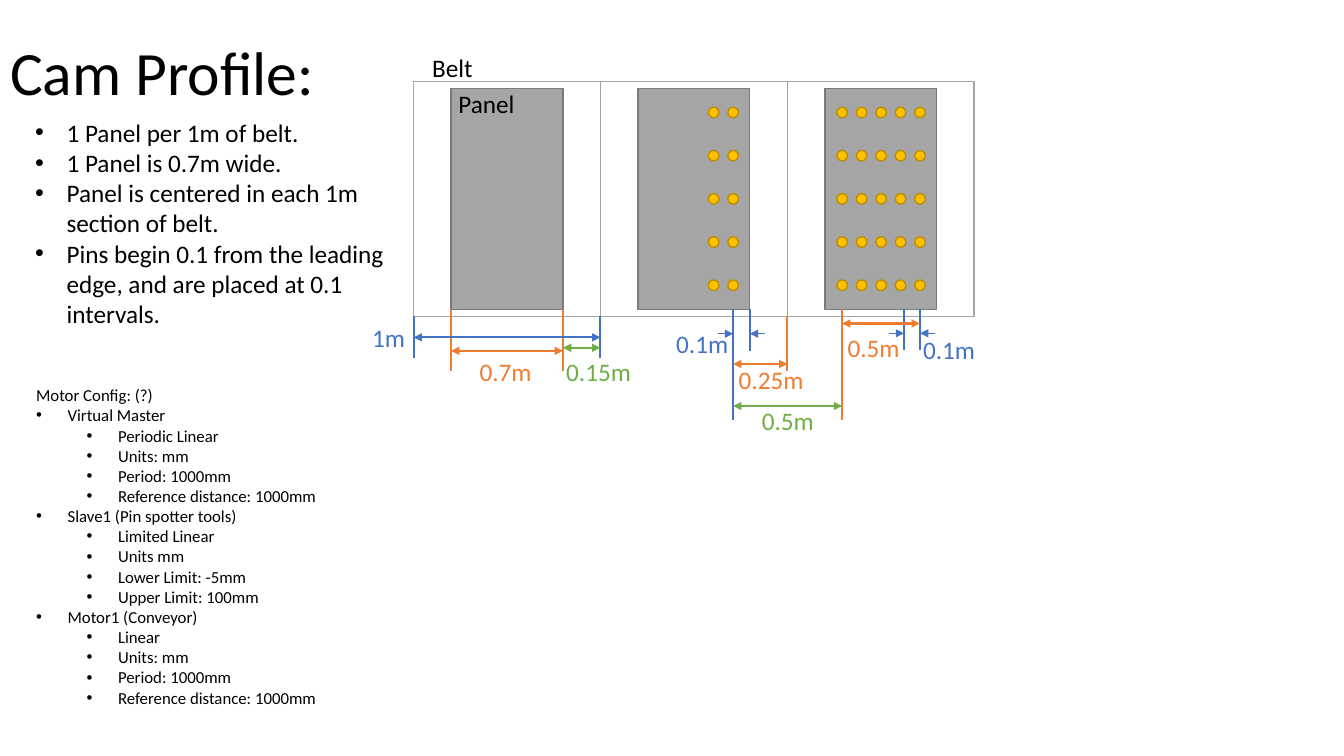
from lxml import etree
from pptx import Presentation
from pptx.dml.color import RGBColor
from pptx.enum.shapes import MSO_CONNECTOR as CONN, MSO_SHAPE as SHAPE
from pptx.enum.text import MSO_ANCHOR as ANCHOR, MSO_AUTO_SIZE as FIT, PP_ALIGN as ALIGN
from pptx.oxml.ns import qn
from pptx.util import Pt

BLACK, BLUE, ORANGE, GREEN = "000000", "4472C4", "ED7D31", "70AD47"
BELT_X, BELT_Y, BELT_W, BELT_H = 295.4, 58.4, 133.5, 167.6
PANEL_DX, PANEL_Y, PANEL_W, PANEL_H = 26.8, 63.4, 79.9, 157.6
PIN_DX, PIN_Y, PIN_D, PIN_GAP_X, PIN_GAP_Y = 8.6, 76.6, 7.5, 13.9, 30.85
PIN_COLUMNS = [range(0), range(3, 5), range(5)]
BELT_END, PANEL_END = BELT_Y + BELT_H, PANEL_Y + PANEL_H

RULES = ["1 Panel per 1m of belt.", "1 Panel is 0.7m wide.",
         "Panel is centered in each 1m section of belt.",
         "Pins begin 0.1 from the leading edge, and are placed at 0.1 intervals."]
MOTORS = {
    "Virtual Master": ["Periodic Linear", "Units: mm", "Period: 1000mm",
                       "Reference distance: 1000mm"],
    "Slave1 (Pin spotter tools)": ["Limited Linear", "Units mm", "Lower Limit: -5mm",
                                   "Upper Limit: 100mm"],
    "Motor1 (Conveyor)": ["Linear", "Units: mm", "Period: 1000mm",
                          "Reference distance: 1000mm"],
}


def rgb(value):
    return RGBColor.from_string(value)


def apply(obj, fmt):
    for name, value in fmt.items():
        setattr(obj, name, value)


def write(p, text, size, color=BLACK):
    r = p.add_run()
    r.text = text
    apply(r.font, {"size": Pt(size), "name": "Calibri"})
    r.font.color.rgb = rgb(color)


def add_bullet(p, level):
    p.level = level
    pPr = p._p.get_or_add_pPr()
    pPr.set("marL", str(Pt(22.5 + 36 * level)))
    pPr.set("indent", str(Pt(-22.5)))
    etree.SubElement(pPr, qn("a:buFont")).set("typeface", "Arial")
    etree.SubElement(pPr, qn("a:buChar")).set("char", "•")


def add_text(s, x, y, w, h, lines, size=18, color=BLACK, wrap=False):
    tf = s.shapes.add_textbox(Pt(x), Pt(y), Pt(w), Pt(h)).text_frame
    apply(tf, {"word_wrap": wrap, "auto_size": FIT.SHAPE_TO_FIT_TEXT})
    for i, (text, level) in enumerate(lines):
        p = tf.add_paragraph() if i else tf.paragraphs[0]
        if level is not None:
            add_bullet(p, level)
        write(p, text, size, color)


def add_label(s, x, y, w, text, color=BLACK):
    add_text(s, x, y, w, 29, [(text, None)], color=color)


def add_shape(s, kind, x, y, w, h, fill, line):
    sp = s.shapes.add_shape(kind, Pt(x), Pt(y), Pt(w), Pt(h))
    sp.shadow.inherit = False
    sp.fill.solid()
    sp.fill.fore_color.rgb = rgb(fill)
    sp.line.color.rgb = rgb(line)
    sp.line.width = Pt(1)


def add_line(s, x1, y1, x2, y2, color, width=1.5, ends=()):
    cxn = s.shapes.add_connector(CONN.STRAIGHT, Pt(x1), Pt(y1), Pt(x2), Pt(y2))
    cxn.line.color.rgb = rgb(color)
    cxn.line.width = Pt(width)
    for end in ends:
        etree.SubElement(cxn.line._get_or_add_ln(), qn(f"a:{end}")).set("type", "triangle")
    etree.SubElement(cxn._element.spPr, qn("a:effectLst"))


def add_span(s, x1, x2, y, color):
    add_line(s, x1, y, x2, y, color, ends=("headEnd", "tailEnd"))


def add_gap(s, x1, x2, y, color):
    for start, stop in ((x1 - 10.7, x1), (x2 + 10.7, x2)):
        add_line(s, start, y, stop, y, color, 0.5, ("tailEnd",))


def add_section(s, index, columns):
    x = BELT_X + index * BELT_W
    panel_x = x + PANEL_DX
    add_shape(s, SHAPE.RECTANGLE, x, BELT_Y, BELT_W, BELT_H, "FFFFFF", "A5A5A5")
    add_shape(s, SHAPE.RECTANGLE, panel_x, PANEL_Y, PANEL_W, PANEL_H, "A5A5A5", "7A7A7A")
    for col in columns:
        for row in range(5):
            add_shape(s, SHAPE.OVAL, panel_x + PIN_DX + col * PIN_GAP_X,
                      PIN_Y + row * PIN_GAP_Y, PIN_D, PIN_D, "FFC000", "BD8E00")


def add_title(s, text):
    sp = s.shapes.title
    apply(sp, {"left": Pt(0), "top": Pt(1.5), "width": Pt(828), "height": Pt(104.4)})
    tf = sp.text_frame
    apply(tf, {"vertical_anchor": ANCHOR.MIDDLE, "auto_size": FIT.NONE, "word_wrap": True})
    p = tf.paragraphs[0]
    apply(p, {"alignment": ALIGN.LEFT, "line_spacing": 0.9})
    write(p, text, 44)


def add_dimensions(s):
    belts = [BELT_X + i * BELT_W for i in range(3)]
    panels = [(x + PANEL_DX, x + PANEL_DX + PANEL_W) for x in belts]
    first_pin = panels[2][0] + PIN_DX + PIN_D / 2
    last_pin = first_pin + 4 * PIN_GAP_X
    middle_pin = last_pin - BELT_W
    edge_pin = panels[2][1] - 28.2 + PIN_GAP_X - 9

    for x, top, bottom, color in [
        (belts[0], BELT_END, 255.6, BLUE), (belts[1], BELT_END, 255.6, BLUE),
        (panels[0][0], PANEL_END, 265, ORANGE), (panels[0][1], PANEL_END, 265, ORANGE),
        (panels[1][1], PANEL_END, 250.6, BLUE), (middle_pin, PANEL_END, 300.2, BLUE),
        (belts[2], BELT_END, 265, ORANGE), (first_pin, PANEL_END, 300.2, ORANGE),
        (edge_pin, PANEL_END, 249.8, BLUE), (last_pin, PANEL_END, 249.8, BLUE),
    ]:
        add_line(s, x, top, x, bottom, color)

    for x1, x2, y, color in [
        (belts[0], belts[1], 241, BLUE), (*panels[0], 250.6, ORANGE),
        (panels[0][1], belts[1], 248.4, GREEN), (first_pin, last_pin, 231.1, ORANGE),
        (middle_pin, belts[2], 260, ORANGE), (middle_pin, first_pin, 290, GREEN),
    ]:
        add_span(s, x1, x2, y, color)
    add_gap(s, middle_pin, panels[1][1], 238.4, BLUE)
    add_gap(s, edge_pin, last_pin, 238.1, BLUE)

    for x, y, w, text, color in [
        (258.8, 226.4, 38, "1m", BLUE), (335.5, 250.9, 52, "0.7m", ORANGE),
        (397.4, 250.9, 61, "0.15m", GREEN), (652.3, 235.4, 52, "0.1m", BLUE),
        (598.3, 234, 52, "0.5m", ORANGE), (475.9, 231.1, 52, "0.1m", BLUE),
        (520.6, 256.7, 61, "0.25m", ORANGE), (537.1, 285.8, 52, "0.5m", GREEN),
    ]:
        add_label(s, x, y, w, text, color)


def main():
    prs = Presentation()
    apply(prs, {"slide_width": Pt(960), "slide_height": Pt(540)})
    s = prs.slides.add_slide(prs.slide_layouts[5])
    add_title(s, "Cam Profile:")
    add_text(s, 18, 80, 268.6, 160, [(rule, 0) for rule in RULES], wrap=True)
    for index, columns in enumerate(PIN_COLUMNS):
        add_section(s, index, columns)
    add_label(s, 301.7, 33.8, 44, "Belt")
    add_label(s, 320.4, 59.8, 55, "Panel")
    add_dimensions(s)
    config = [("Motor Config: (?)", None)]
    for motor, settings in MOTORS.items():
        config += [(motor, 0)] + [(setting, 1) for setting in settings]
    add_text(s, 18.7, 271.4, 216.7, 254, config, 12)
    prs.save("out.pptx")


main()
